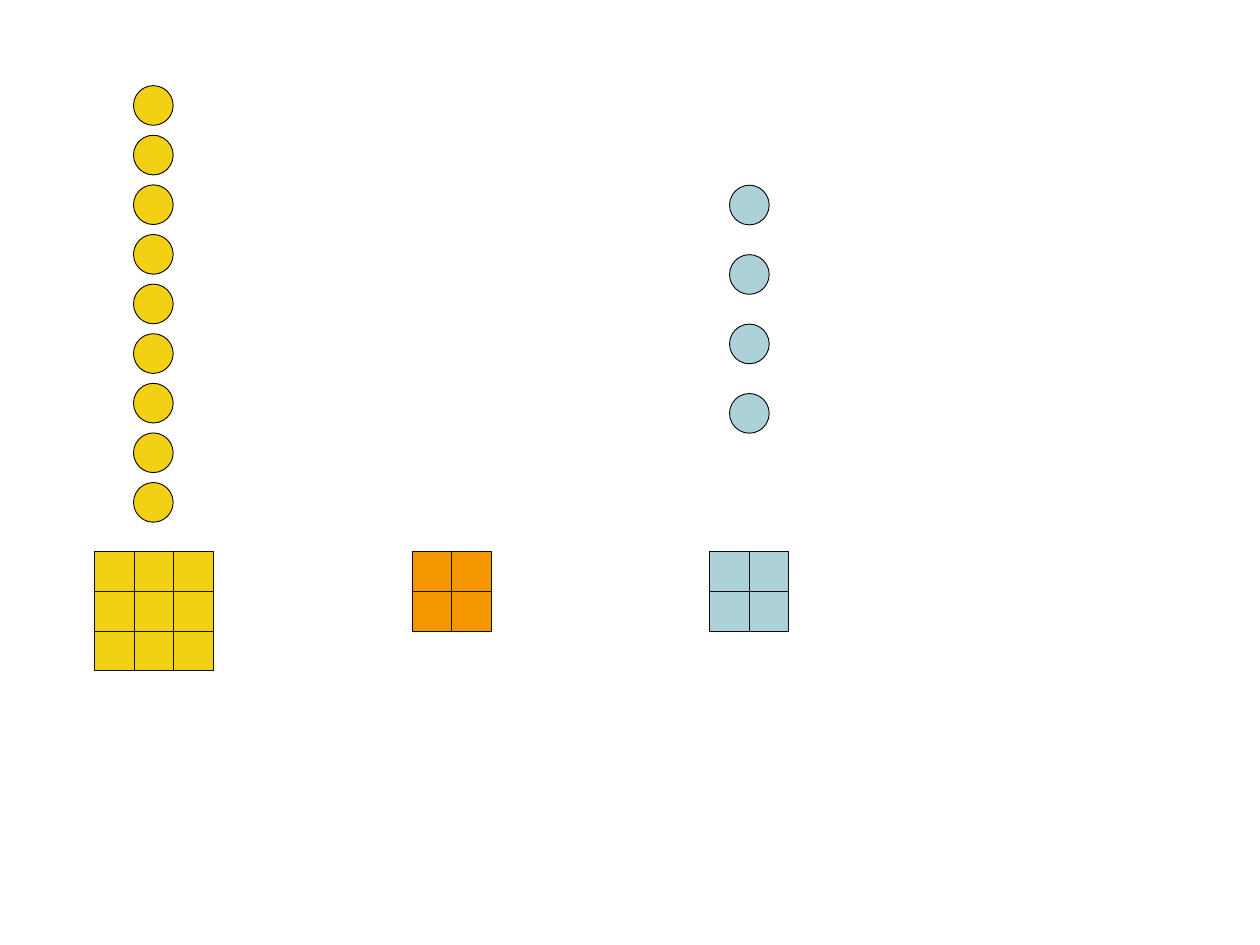
from dataclasses import dataclass

from pptx import Presentation
from pptx.dml.color import RGBColor
from pptx.enum.shapes import MSO_SHAPE
from pptx.slide import Slide
from pptx.util import Inches, Pt


@dataclass(frozen=True)
class Theme:
    gold: str = "F2D115"
    orange: str = "F39600"
    blue: str = "ACD1D8"
    ring: str = "000000"
    edge: str = "0D0D0D"
    weight: float = 0.5


@dataclass(frozen=True)
class Stack:
    left: float
    top: float
    count: int
    pitch: float
    fill: str


@dataclass(frozen=True)
class Grid:
    left: float
    top: float
    side: int
    fill: str


THEME = Theme()
UNIT = 0.63 / 2
BASE = 4.38
STACKS = [
    Stack(1.06, 0.68, 9, 1.25 * UNIT, THEME.gold),
    Stack(5.79, 1.47, 4, 1.75 * UNIT, THEME.blue),
]
GRIDS = [
    Grid(0.75, BASE, 3, THEME.gold),
    Grid(3.27, BASE, 2, THEME.orange),
    Grid(5.63, BASE, 2, THEME.blue),
]


def draw_unit(slide: Slide, kind: MSO_SHAPE, left: float, top: float,
              fill: str, line: str) -> None:
    shape = slide.shapes.add_shape(
        kind, Inches(left), Inches(top), Inches(UNIT), Inches(UNIT))
    shape.shadow.inherit = False
    shape.fill.solid()
    shape.fill.fore_color.rgb = RGBColor.from_string(fill)
    shape.line.color.rgb = RGBColor.from_string(line)
    shape.line.width = Pt(THEME.weight)


def draw_stack(slide: Slide, stack: Stack) -> None:
    for step in range(stack.count):
        draw_unit(slide, MSO_SHAPE.OVAL, stack.left,
                  stack.top + step * stack.pitch, stack.fill, THEME.ring)


def draw_grid(slide: Slide, grid: Grid) -> None:
    for row in range(grid.side):
        for col in range(grid.side):
            draw_unit(slide, MSO_SHAPE.RECTANGLE, grid.left + col * UNIT,
                      grid.top + row * UNIT, grid.fill, THEME.edge)


def main() -> None:
    deck = Presentation()
    deck.slide_width = Inches(10)
    deck.slide_height = Inches(7.5)
    slide = deck.slides.add_slide(deck.slide_layouts[6])
    for stack in STACKS:
        draw_stack(slide, stack)
    for grid in GRIDS:
        draw_grid(slide, grid)
    deck.save("out.pptx")


if __name__ == "__main__":
    main()
